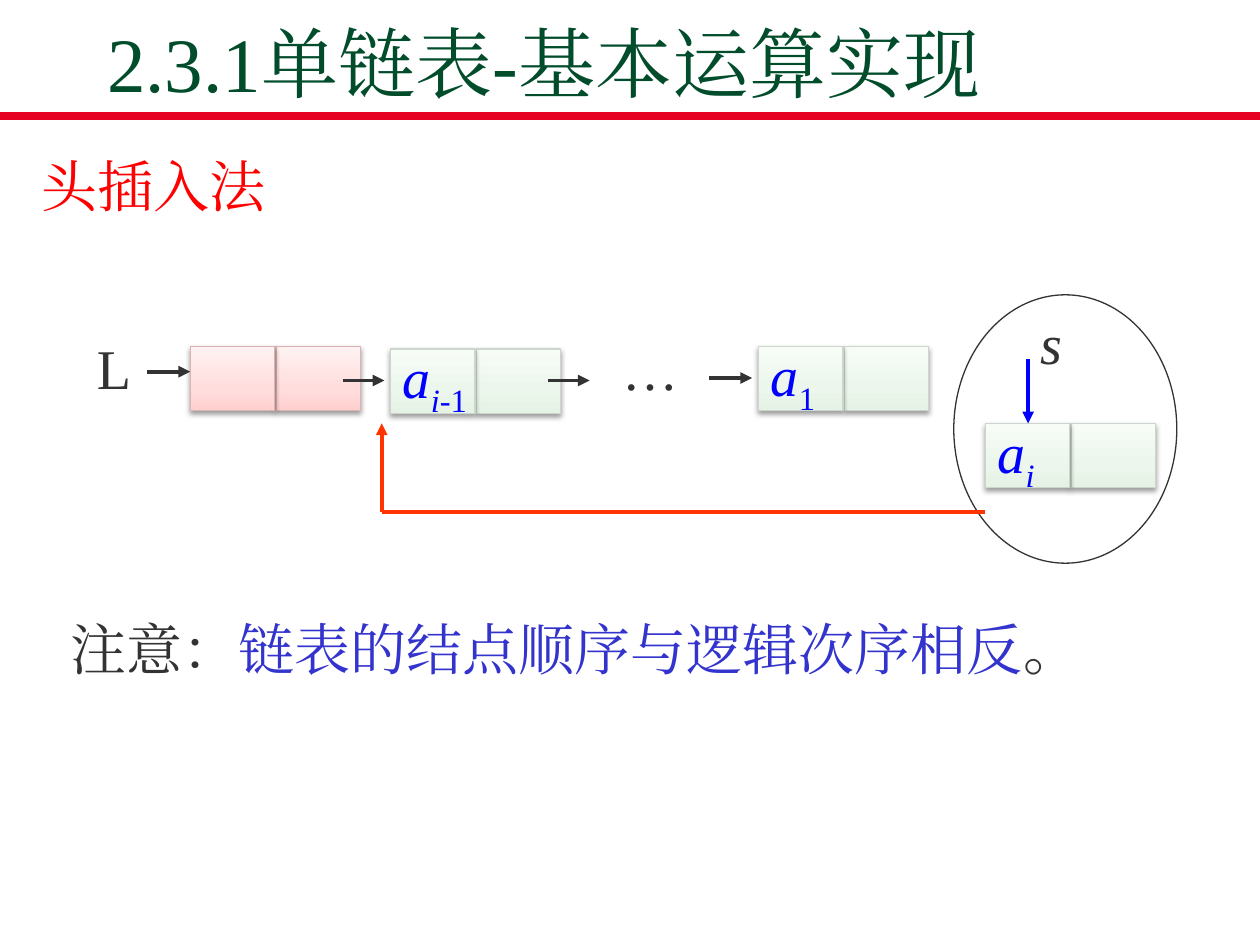
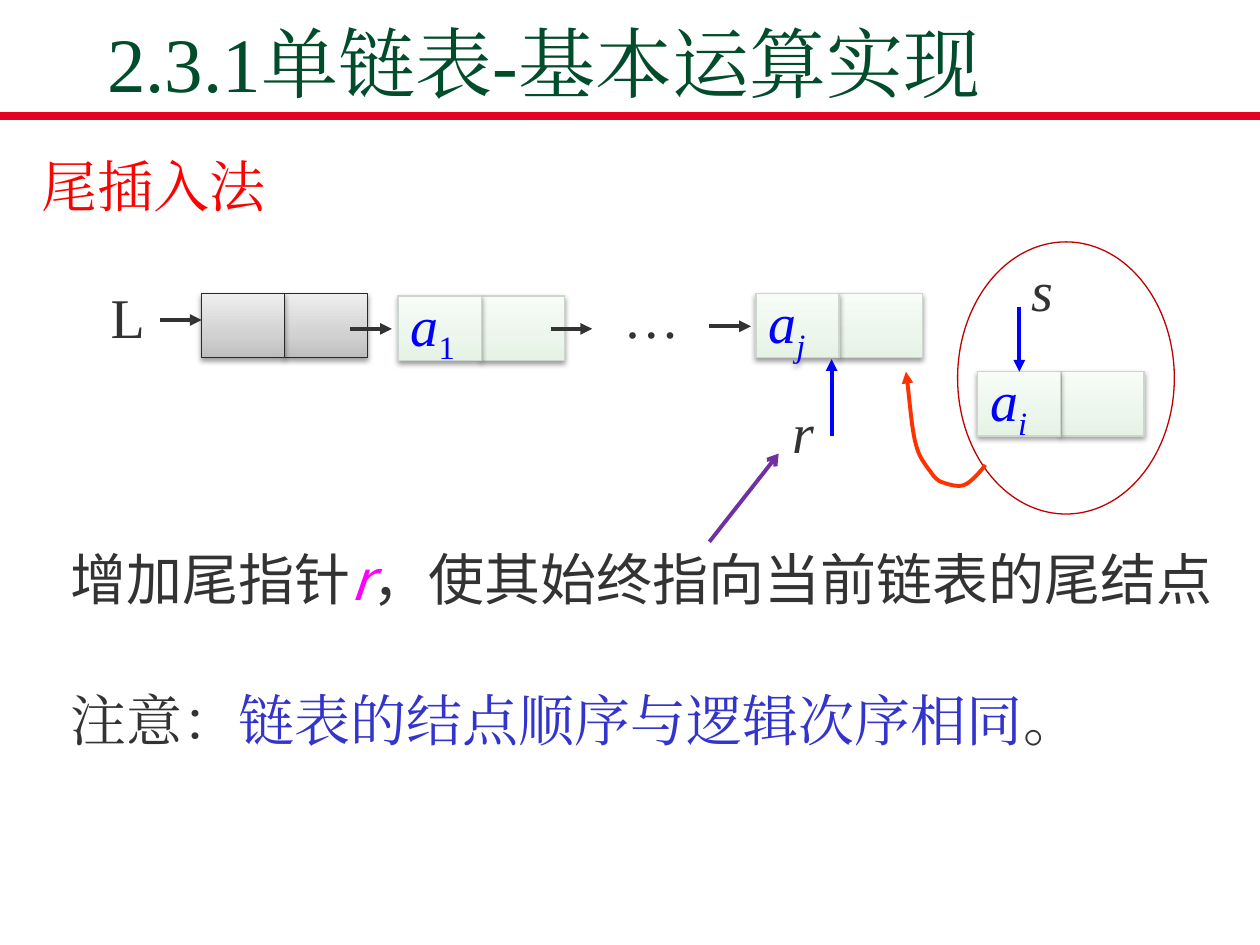
from dataclasses import dataclass, field

from lxml.etree import SubElement
from pptx import Presentation
from pptx.dml.color import RGBColor
from pptx.enum.shapes import MSO_CONNECTOR, MSO_SHAPE
from pptx.enum.text import MSO_ANCHOR, MSO_AUTO_SIZE, PP_ALIGN
from pptx.oxml.ns import qn
from pptx.util import Inches, Pt

COLORS = {
    "title": "004C2B", "rule": "E60223", "heading": "FF0000", "text": "333333",
    "remark": "3333CD", "data": "0000FF", "insert": "FF3300", "tail": "FF00FF",
    "hint": "7030A0", "dark_red": "C00000", "shadow": "000000",
}
# Gradient stops from bottom to top, then the outline
CELL_STYLES = {
    "pink": (("FFD0D0", "FFDDDD", "FFF2F2"), "DDB2B2"),
    "gray": (("BEBEBE", "D1D1D1", "EEEEEE"), "292929"),
    "green": (("E5F2E5", "ECF6EC", "F7FCF7"), "CCD6CC"),
}
STOP_POSITIONS = (0, 35000, 100000)
SERIF = "Times New Roman"
SANS = "Noto Sans CJK SC"
CELL_HEIGHT = 0.51
CURVE_STEPS = 8
TITLE = "2.3.1单链表-基本运算实现"


@dataclass(frozen=True)
class Span:
    text: str
    color: str = "text"
    italic: bool = False
    subscript: bool = False
    font: str = SERIF
    size: int = 32


@dataclass(frozen=True)
class Node:
    left: float
    top: float
    style: str = "green"
    spans: tuple[Span, ...] = ()


@dataclass(frozen=True)
class Label:
    left: float
    top: float
    text: str
    italic: bool = False


@dataclass(frozen=True)
class Line:
    start: tuple[float, float]
    end: tuple[float, float]
    color: str = "text"
    head: str | None = "triangle"
    width: float = 2.25


@dataclass(frozen=True)
class ListDiagram:
    heading: str
    cell_width: float
    cell_step: float
    ellipse: tuple[float, float, float, float]
    ellipse_color: str
    nodes: list[Node]
    labels: list[Label]
    lines: list[Line]
    remark: str
    remark_top: float
    curve: list[tuple[float, float]] = field(default_factory=list)


def rgb(name: str) -> RGBColor:
    return RGBColor.from_string(COLORS.get(name, name))


def element(name: str) -> Span:
    """First part of a list element's name, the letter a."""
    return Span(name, "data", italic=True)


def index(text: str, italic: bool = True) -> Span:
    return Span(text, "data", italic, subscript=True)


def add_spans(para, spans) -> None:
    for span in spans:
        run = para.add_run()
        run.text = span.text
        run.font.size = Pt(span.size)
        run.font.bold = False
        run.font.italic = span.italic
        run.font.color.rgb = rgb(span.color)
        run.font.name = span.font
        properties = run._r.get_or_add_rPr()
        SubElement(properties, qn("a:ea")).set("typeface", span.font)
        if span.subscript:
            properties.set("baseline", "-25000")


def add_text(slide, place, spans, anchor=MSO_ANCHOR.TOP):
    box = slide.shapes.add_textbox(*map(Inches, place))
    box.text_frame.word_wrap = True
    box.text_frame.vertical_anchor = anchor
    para = box.text_frame.paragraphs[0]
    add_spans(para, spans)
    return para


def add_arrowhead(shape, head: str) -> None:
    SubElement(shape.line._get_or_add_ln(), qn("a:tailEnd")).set("type", head)


def add_line(slide, line: Line) -> None:
    connector = slide.shapes.add_connector(
        MSO_CONNECTOR.STRAIGHT, *map(Inches, line.start + line.end))
    connector.line.color.rgb = rgb(line.color)
    connector.line.width = Pt(line.width)
    if line.head:
        add_arrowhead(connector, line.head)
    SubElement(connector._element.spPr, qn("a:effectLst"))


def add_cell(slide, left: float, top: float, width: float, style: str):
    stops, outline = CELL_STYLES[style]
    cell = slide.shapes.add_shape(
        MSO_SHAPE.RECTANGLE, *map(Inches, (left, top, width, CELL_HEIGHT)))
    cell.fill.gradient()
    cell.fill.gradient_angle = 90
    cell.line.color.rgb = rgb(outline)
    cell.line.width = Pt(0.75)
    properties = cell._element.spPr
    stop_list = properties.find(".//" + qn("a:gsLst"))
    stop_list.clear()
    for position, color in zip(STOP_POSITIONS, stops):
        stop = SubElement(stop_list, qn("a:gs"), pos=str(position))
        SubElement(stop, qn("a:srgbClr"), val=color)
    cell.shadow.inherit = False
    shadow = SubElement(
        properties.find(qn("a:effectLst")), qn("a:outerShdw"),
        blurRad=str(Pt(3.1)), dist=str(Pt(1.6)), dir="5400000", rotWithShape="0")
    shade = SubElement(shadow, qn("a:srgbClr"), val=COLORS["shadow"])
    SubElement(shade, qn("a:alpha"), val="38000")
    return cell


def add_node(slide, node: Node, width: float, step: float) -> None:
    """Draw the pointer cell, then the data cell with its element name."""
    add_cell(slide, node.left + step, node.top, width, node.style)
    data = add_cell(slide, node.left, node.top, width, node.style)
    if node.spans:
        frame = data.text_frame
        frame.word_wrap = False
        frame.vertical_anchor = MSO_ANCHOR.MIDDLE
        frame.paragraphs[0].alignment = PP_ALIGN.LEFT
        add_spans(frame.paragraphs[0], node.spans)


def add_ellipse(slide, place, color: str) -> None:
    ellipse = slide.shapes.add_shape(MSO_SHAPE.OVAL, *map(Inches, place))
    ellipse.shadow.inherit = False
    ellipse.fill.background()
    ellipse.line.color.rgb = rgb(color)
    ellipse.line.width = Pt(0.75)


def bezier(points, t: float) -> tuple[int, int]:
    weights = ((1 - t) ** 3, 3 * t * (1 - t) ** 2, 3 * t * t * (1 - t), t ** 3)
    return tuple(Inches(sum(w * p[axis] for w, p in zip(weights, points)))
                 for axis in (0, 1))


def add_curve(slide, points) -> None:
    """Draw a chain of cubic curves, three points for each after the first."""
    track = [bezier(points[first:first + 4], step / CURVE_STEPS)
             for first in range(0, len(points) - 1, 3)
             for step in range(1, CURVE_STEPS + 1)]
    builder = slide.shapes.build_freeform(*map(Inches, points[0]), scale=1.0)
    builder.add_line_segments(track, close=False)
    curve = builder.convert_to_shape()
    curve.shadow.inherit = False
    curve.fill.background()
    curve.line.color.rgb = rgb("insert")
    curve.line.width = Pt(2.25)
    add_arrowhead(curve, "triangle")


def add_title(slide) -> None:
    title = slide.shapes.title
    title.left, title.top, title.width, title.height = map(
        Inches, (0.75, 0.26, 8.5, 0.65))
    frame = title.text_frame
    frame.auto_size = MSO_AUTO_SIZE.NONE
    frame.vertical_anchor = MSO_ANCHOR.BOTTOM
    frame.paragraphs[0].alignment = PP_ALIGN.LEFT
    add_spans(frame.paragraphs[0], [Span(TITLE, "title", size=44)])


def add_list_slide(deck, diagram: ListDiagram):
    slide = deck.slides.add_slide(deck.slide_layouts[5])
    add_line(slide, Line((0, 0.92), (10, 0.92), "rule", None, 4.5))
    add_title(slide)
    add_text(slide, (0.23, 1.15, 9.57, 0.64), [Span(diagram.heading, "heading")])
    add_ellipse(slide, diagram.ellipse, diagram.ellipse_color)
    for node in diagram.nodes:
        add_node(slide, node, diagram.cell_width, diagram.cell_step)
    for label in diagram.labels:
        add_text(slide, (label.left, label.top, 0.67, 0.75),
                 [Span(label.text, italic=label.italic)], MSO_ANCHOR.MIDDLE)
    for line in diagram.lines:
        add_line(slide, line)
    if diagram.curve:
        add_curve(slide, diagram.curve)
    add_text(slide, (0.46, diagram.remark_top, 8.88, 0.75),
             [Span("注意："), Span(diagram.remark, "remark"), Span("。")])
    return slide


HEAD_INSERTION = ListDiagram(
    heading="头插入法", cell_width=0.67, cell_step=0.68,
    ellipse=(7.57, 2.34, 1.77, 2.13), ellipse_color="text",
    nodes=[
        Node(1.51, 2.75, "pink"),
        Node(3.1, 2.77, spans=(element("a"), index("i"), index("-1", False))),
        Node(6.02, 2.75, spans=(element("a"), index("1", False))),
        Node(7.82, 3.36, spans=(element("a"), index("i"))),
    ],
    labels=[Label(0.67, 2.54, "L"), Label(4.84, 2.55, "…"),
            Label(8.16, 2.34, "s", True)],
    lines=[
        Line((1.17, 2.95), (1.51, 2.95)),
        Line((2.72, 3.02), (3.05, 3.02)),
        Line((4.35, 3.02), (4.68, 3.02)),
        Line((5.63, 3), (5.97, 3)),
        Line((8.16, 2.85), (8.16, 3.36), "data"),
        Line((3.03, 4.06), (3.03, 3.36), "insert"),
        Line((3.03, 4.06), (7.82, 4.06), "insert", None),
    ],
    remark="链表的结点顺序与逻辑次序相反", remark_top=4.83,
)

TAIL_INSERTION = ListDiagram(
    heading="尾插入法", cell_width=0.66, cell_step=0.66,
    ellipse=(7.6, 1.92, 1.72, 2.16), ellipse_color="dark_red",
    nodes=[
        Node(1.6, 2.33, "gray"),
        Node(3.16, 2.35, spans=(element("a"), index("1", False))),
        Node(6, 2.33, spans=(element("a"), index("j"))),
        Node(7.76, 2.95, spans=(element("a"), index("i"))),
    ],
    labels=[Label(0.78, 2.13, "L"), Label(4.85, 2.13, "…"),
            Label(8.09, 1.92, "s", True), Label(6.19, 3.05, "r", True)],
    lines=[
        Line((1.27, 2.54), (1.6, 2.54)),
        Line((2.78, 2.61), (3.11, 2.61)),
        Line((4.37, 2.61), (4.7, 2.61)),
        Line((5.63, 2.59), (5.96, 2.59)),
        Line((6.6, 3.46), (6.6, 2.85), "data"),
        Line((8.09, 2.44), (8.09, 2.95), "data"),
        Line((5.63, 4.3), (6.18, 3.6), "hint", "arrow"),
    ],
    remark="链表的结点顺序与逻辑次序相同", remark_top=5.39,
    curve=[(7.82, 3.69), (7.8, 3.72), (7.71, 3.83), (7.65, 3.85),
           (7.6, 3.87), (7.51, 3.84), (7.46, 3.82),
           (7.41, 3.79), (7.4, 3.76), (7.36, 3.71),
           (7.32, 3.65), (7.29, 3.62), (7.26, 3.49),
           (7.23, 3.36), (7.21, 3.06), (7.19, 2.95)],
)


def main() -> None:
    deck = Presentation()
    deck.slide_width, deck.slide_height = Inches(10), Inches(7.5)
    add_list_slide(deck, HEAD_INSERTION)
    tail_slide = add_list_slide(deck, TAIL_INSERTION)
    para = add_text(tail_slide, (0.46, 4.36, 9.34, 0.55), [
        Span("增加尾指针", font=SANS),
        Span("r", "tail", italic=True, font=SANS),
        Span("，使其始终指向当前链表的尾结点", font=SANS),
    ])
    para.alignment = PP_ALIGN.JUSTIFY
    para.line_spacing = Pt(32)
    deck.save("out.pptx")


if __name__ == "__main__":
    main()
